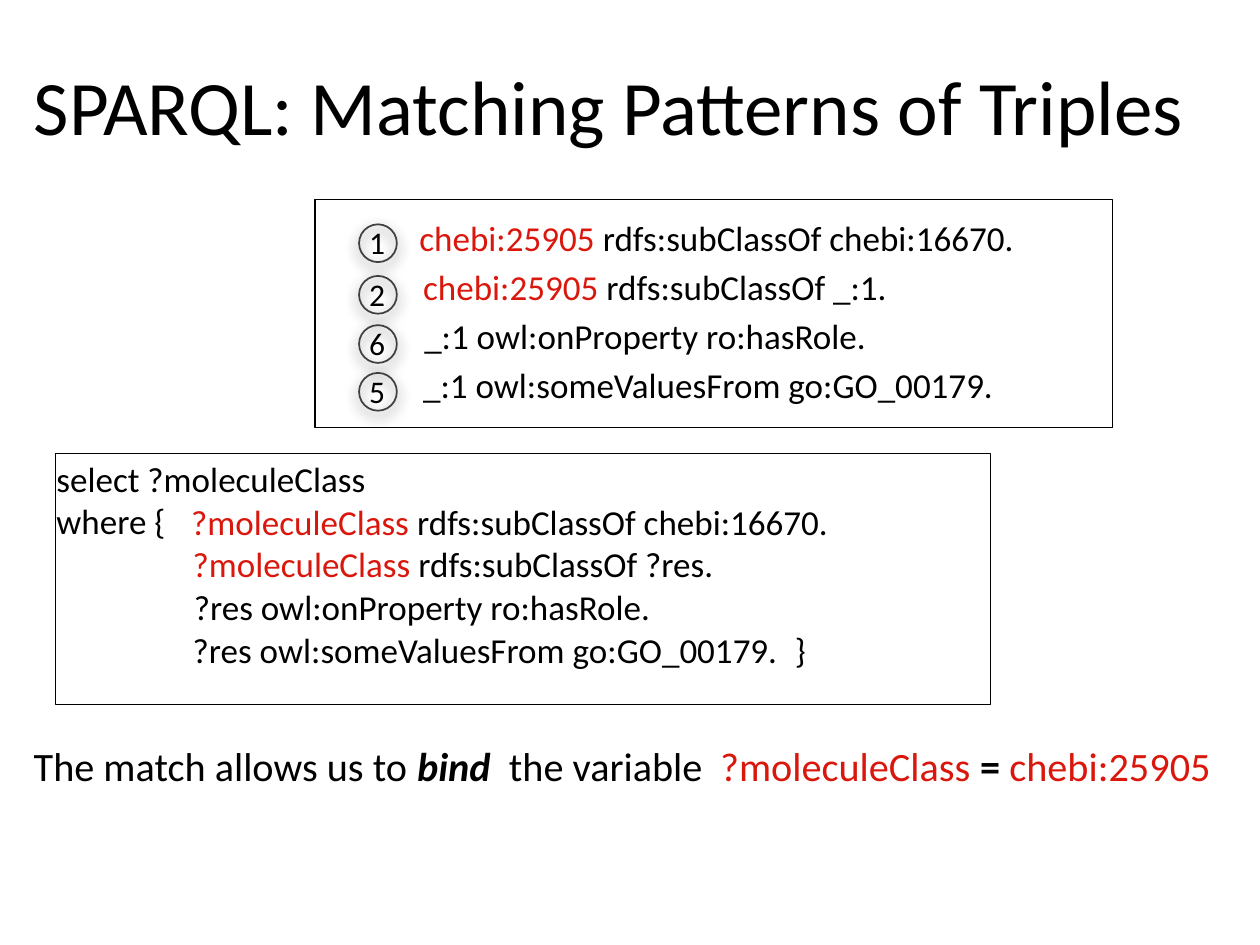
"""Build a slide on matching SPARQL patterns against triples."""
from dataclasses import dataclass, field

import lxml.etree
import pptx
import pptx.dml.color
import pptx.enum.shapes
import pptx.enum.text
import pptx.oxml.ns
import pptx.util

Pt = pptx.util.Pt
RGB = pptx.dml.color.RGBColor


@dataclass(frozen=True)
class Theme:
    font: str = "Calibri"
    ink: RGB = RGB(0x00, 0x00, 0x00)
    accent: RGB = RGB(0xDA, 0x17, 0x0D)
    ring: RGB = RGB(0x40, 0x40, 0x40)
    title: float = 44
    remark: float = 23
    code: float = 20
    badge: float = 18


THEME = Theme()


@dataclass(frozen=True)
class Span:
    text: str
    format: dict = field(default_factory=dict)


@dataclass(frozen=True)
class Box:
    left: float
    top: float
    width: float
    height: float

    def lengths(self) -> list:
        """Return the four lengths in points."""
        return [Pt(v) for v in (self.left, self.top, self.width, self.height)]


@dataclass(frozen=True)
class Line:
    left: float
    width: float
    spans: tuple
    wrap: bool = False


def red(text: str) -> Span:
    """Return a span in the accent colour."""
    return Span(text, {"color": THEME.accent})


def write(paragraph, spans: tuple, size: float) -> None:
    """Add formatted runs to a paragraph."""
    for span in spans:
        run = paragraph.add_run()
        run.text = span.text
        formats = {"name": THEME.font, "size": Pt(size), "color": THEME.ink} | span.format
        run.font.color.rgb = formats.pop("color")
        for key, value in formats.items():
            setattr(run.font, key, value)


def add_text(shapes, box: Box, paragraphs: list, size: float, wrap: bool = False) -> None:
    """Add a text box that grows with its text."""
    frame = shapes.add_textbox(*box.lengths()).text_frame
    frame.word_wrap = wrap
    frame.auto_size = pptx.enum.text.MSO_AUTO_SIZE.SHAPE_TO_FIT_TEXT
    for index, spans in enumerate(paragraphs):
        write(frame.add_paragraph() if index else frame.paragraphs[0], spans, size)


def add_outline(shapes, kind, box: Box, color: RGB, weight: float):
    """Add an unfilled preset shape."""
    outline = shapes.add_shape(kind, *box.lengths())
    outline.shadow.inherit = False
    outline.fill.background()
    outline.line.color.rgb = color
    outline.line.width = Pt(weight)
    return outline


def add_shadow(shape) -> None:
    """Give a shape a soft shadow below it."""
    qn = pptx.oxml.ns.qn
    effects = shape._element.spPr.find(qn("a:effectLst"))
    shadow = lxml.etree.SubElement(
        effects, qn("a:outerShdw"), blurRad=str(Pt(8)), dist=str(Pt(3)),
        dir="5400000", rotWithShape="0")
    color = lxml.etree.SubElement(shadow, qn("a:srgbClr"), val=str(THEME.ink))
    lxml.etree.SubElement(color, qn("a:alpha"), val="75000")


def add_badge(shapes, number: str, top: float) -> None:
    """Add a grouped number in a ring."""
    badge = shapes.add_group_shape().shapes
    add_text(badge, Box(203.8, top - 4, 23.8, 28.8), [(Span(number),)], THEME.badge)
    oval = pptx.enum.shapes.MSO_SHAPE.OVAL
    add_shadow(add_outline(badge, oval, Box(205.2, top, 21.6, 21.6), THEME.ring, 1))


def add_lines(shapes, lines: list, top: float, pitch: float) -> None:
    """Stack lines of code at an equal pitch."""
    for index, line in enumerate(lines):
        box = Box(line.left, top + index * pitch, line.width, 31.7)
        add_text(shapes, box, [line.spans], THEME.code, line.wrap)


def add_title(slide, text: str) -> None:
    """Place and format the title."""
    title = slide.shapes.title
    places = dict(zip(("left", "top", "width", "height"), Box(-17.3, 36, 730.8, 48.2).lengths()))
    for key, value in places.items():
        setattr(title, key, value)
    frame = title.text_frame
    frame.vertical_anchor = pptx.enum.text.MSO_ANCHOR.MIDDLE
    frame.auto_size = pptx.enum.text.MSO_AUTO_SIZE.NONE
    frame.paragraphs[0].alignment = pptx.enum.text.PP_ALIGN.CENTER
    write(frame.paragraphs[0], (Span(text),), THEME.title)


TRIPLES = [
    Line(232.6, 415.4, (red("chebi:25905"), Span(" rdfs:subClassOf chebi:16670.")), True),
    Line(234.7, 281.5, (red("chebi:25905"), Span(" rdfs:subClassOf _:1."))),
    Line(235.4, 269.3, (Span("_:1 owl:onProperty ro:hasRole."),)),
    Line(234.7, 342.7, (Span("_:1 owl:someValuesFrom go:GO_00179."),)),
]
PATTERNS = [
    Line(102.2, 471.6, (red("?moleculeClass"), Span(" rdfs:subClassOf chebi:16670.")), True),
    Line(103, 314.6, (red("?moleculeClass"), Span(" rdfs:subClassOf ?res."))),
    Line(103.7, 277.2, (Span("?res owl:onProperty ro:hasRole."),)),
    Line(103, 351.4, (Span("?res owl:someValuesFrom go:GO_00179."),)),
]
BADGES = {"1": 128.2, "2": 157.7, "6": 185.8, "5": 213.1}
FRAMES = [Box(180, 113.8, 455.8, 130.3), Box(31.7, 259.2, 534.2, 143.3)]
REMARK = (Span("The match allows us to "),
          Span("bind ", {"bold": True, "italic": True}), Span(" the variable"))
BINDING = (red("?moleculeClass "), Span("= ", {"bold": True}), red("chebi:25905"))


def main() -> None:
    """Assemble and save the slide."""
    deck = pptx.Presentation()
    deck.slide_width, deck.slide_height = Pt(720), Pt(540)
    slide = deck.slides.add_slide(deck.slide_layouts[5])
    shapes = slide.shapes
    add_title(slide, "SPARQL: Matching Patterns of Triples")
    add_lines(shapes, TRIPLES, 120.2, 28)
    add_text(shapes, Box(25.2, 257.8, 192.2, 55.4),
             [(Span("select ?moleculeClass"),), (Span("where {"),)], THEME.code)
    add_lines(shapes, PATTERNS, 282.2, 24.5)
    add_lines(shapes, [Line(447.1, 20.9, (Span("}"),))], 355.7, 0)
    for frame in FRAMES:
        add_outline(shapes, pptx.enum.shapes.MSO_SHAPE.RECTANGLE, frame, THEME.ink, 0.75)
    for number, top in BADGES.items():
        add_badge(shapes, number, top)
    add_text(shapes, Box(12.2, 419.8, 400.3, 35.3), [REMARK], THEME.remark)
    add_text(shapes, Box(404.6, 419.8, 297.4, 35.3), [BINDING], THEME.remark)
    deck.save("out.pptx")


if __name__ == "__main__":
    main()
